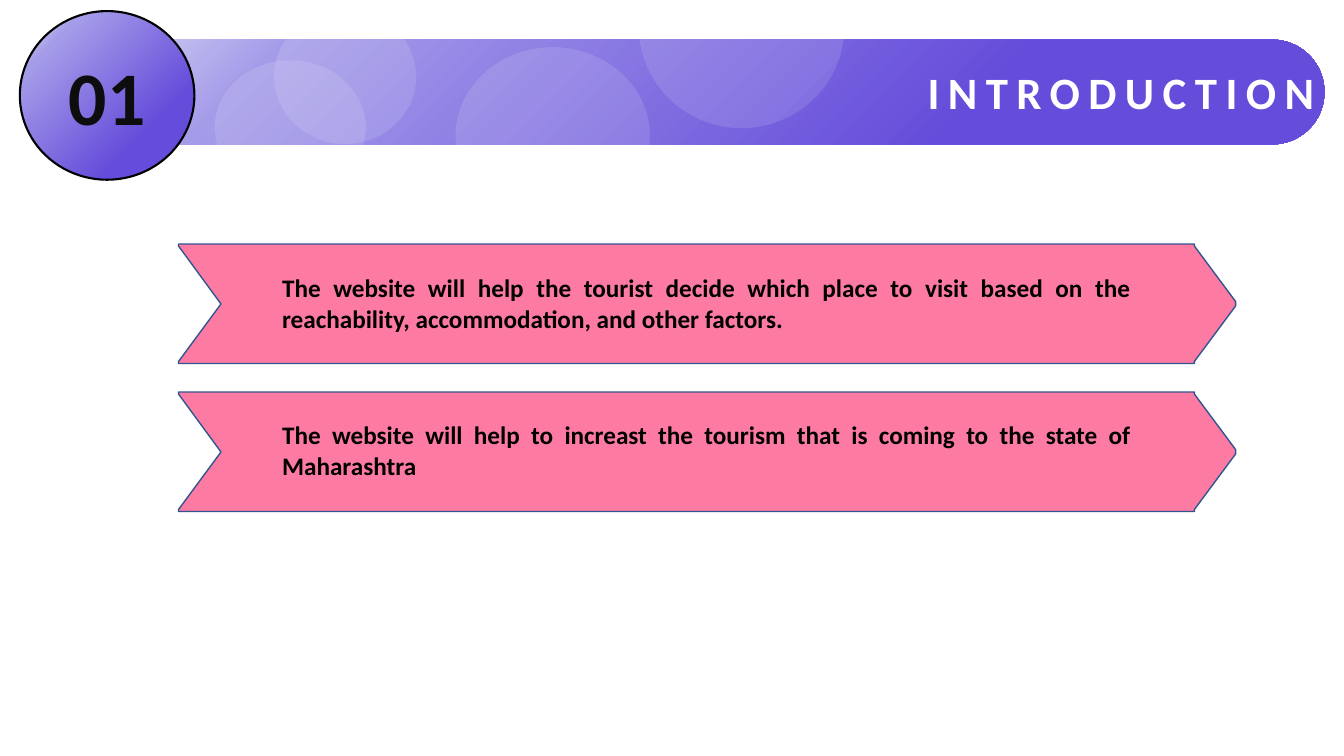
from math import cos, pi, sin
from lxml import etree
from pptx import Presentation
from pptx.dml.color import RGBColor
from pptx.enum.shapes import MSO_SHAPE
from pptx.enum.text import MSO_ANCHOR, PP_ALIGN
from pptx.oxml import parse_xml
from pptx.oxml.ns import nsdecls, qn
from pptx.util import Cm, Pt

HUES = {"deep": "654CDA", "mid": "A59CE9", "pale": "E5EBF7", "pink": "FD7BA3",
        "edge": "325491", "white": "FFFFFF", "black": "000000", "ink": "0D0D0D"}
STOPS = [(27, "deep"), (81, "mid"), (100, "pale")]

deck = Presentation()
deck.slide_width, deck.slide_height = Cm(33.87), Cm(19.05)
slide = deck.slides.add_slide(deck.slide_layouts[6])
shapes = slide.shapes


def outline(points):
    spots = [(Cm(x), Cm(y)) for x, y in points]
    pen = shapes.build_freeform(*spots[0])
    pen.add_line_segments(spots[1:], close=True)
    shape = pen.convert_to_shape()
    shape.shadow.inherit = False
    return shape


def write(shape, words, size, hue, align):
    frame = shape.text_frame
    frame.word_wrap = True
    para = frame.paragraphs[0]
    para.alignment = align
    run = para.add_run()
    run.text = words
    run.font.name = "Calibri"
    run.font.size = Pt(size)
    run.font.bold = True
    run.font.color.rgb = RGBColor.from_string(HUES[hue])
    return run


left, top, right, base = 0.5, 1, 33.38, 3.64
half = (base - top) / 2
turns = [pi * (step / 32 - 0.5) for step in range(33)]
arc = [(right - half + half * cos(turn), top + half + half * sin(turn)) for turn in turns]
banner = outline([(left, top + half), (4.35, top)] + arc + [(4.47, base)])
banner.line.fill.background()
banner.text_frame.vertical_anchor = MSO_ANCHOR.MIDDLE
title = write(banner, "INTRODUCTION", 32, "white", PP_ALIGN.RIGHT)
title.font._element.set("spc", "600")

badge = shapes.add_shape(MSO_SHAPE.OVAL, Cm(left), Cm(0.28), Cm(4.4), Cm(4.25))
badge.shadow.inherit = False
badge.line.color.rgb = RGBColor.from_string(HUES["black"])
badge.line.width = Pt(1.5)
badge.text_frame.vertical_anchor = MSO_ANCHOR.MIDDLE
write(badge, "01", 54, "ink", PP_ALIGN.CENTER)

marks = "".join(f'<a:gs pos="{pos * 1000}"><a:srgbClr val="{HUES[hue]}"/></a:gs>'
                for pos, hue in STOPS)
for shape in (banner, badge):
    shape.fill.background()
    blank = shape._element.spPr.find(qn("a:noFill"))
    blank.getparent().replace(blank, parse_xml(
        f'<a:gradFill {nsdecls("a")} rotWithShape="1"><a:gsLst>{marks}</a:gsLst>'
        '<a:path path="circle"><a:fillToRect l="100000" t="100000"/></a:path></a:gradFill>'))

for x, y, wide, high in [(11.48, 1.19, 4.9, 4.47), (6.91, 0.23, 3.58, 3.4),
                         (16.1, -1.88, 5.18, 5.11), (5.41, 1.52, 3.81, 3.4)]:
    bubble = shapes.add_shape(MSO_SHAPE.OVAL, Cm(x), Cm(y), Cm(wide), Cm(high))
    bubble.shadow.inherit = False
    bubble.line.fill.background()
    bubble.fill.solid()
    bubble.fill.fore_color.rgb = RGBColor.from_string(HUES["white"])
    tint = bubble._element.spPr.find(qn("a:solidFill"))[0]
    etree.SubElement(tint, qn("a:alpha")).set("val", "12000")

NOTES = [
    "The website will help the tourist decide which place to visit based on the "
    "reachability, accommodation, and other factors.",
    "The website will help to increast the tourism that is coming to the state of Maharashtra",
]
CHEVRON = [(0, 0), (25.6, 0), (25.6, 0.05), (26.64, 1.45), (26.64, 1.56), (25.6, 2.96),
           (25.6, 3.01), (0, 3.01), (0, 2.96), (1.07, 1.51), (0, 0.05)]
for row, words in enumerate(NOTES):
    drop = 6.15 + 3.73 * row
    band = outline([(4.5 + x, drop + y) for x, y in CHEVRON])
    band.fill.solid()
    band.fill.fore_color.rgb = RGBColor.from_string(HUES["pink"])
    band.line.color.rgb = RGBColor.from_string(HUES["edge"])
    band.line.width = Pt(1)
    box = shapes.add_textbox(Cm(6.86), Cm(6.75 + 3.7 * row), Cm(21.9), Cm(1.8))
    write(box, words, 18, "black", PP_ALIGN.JUSTIFY)

deck.save("out.pptx")
